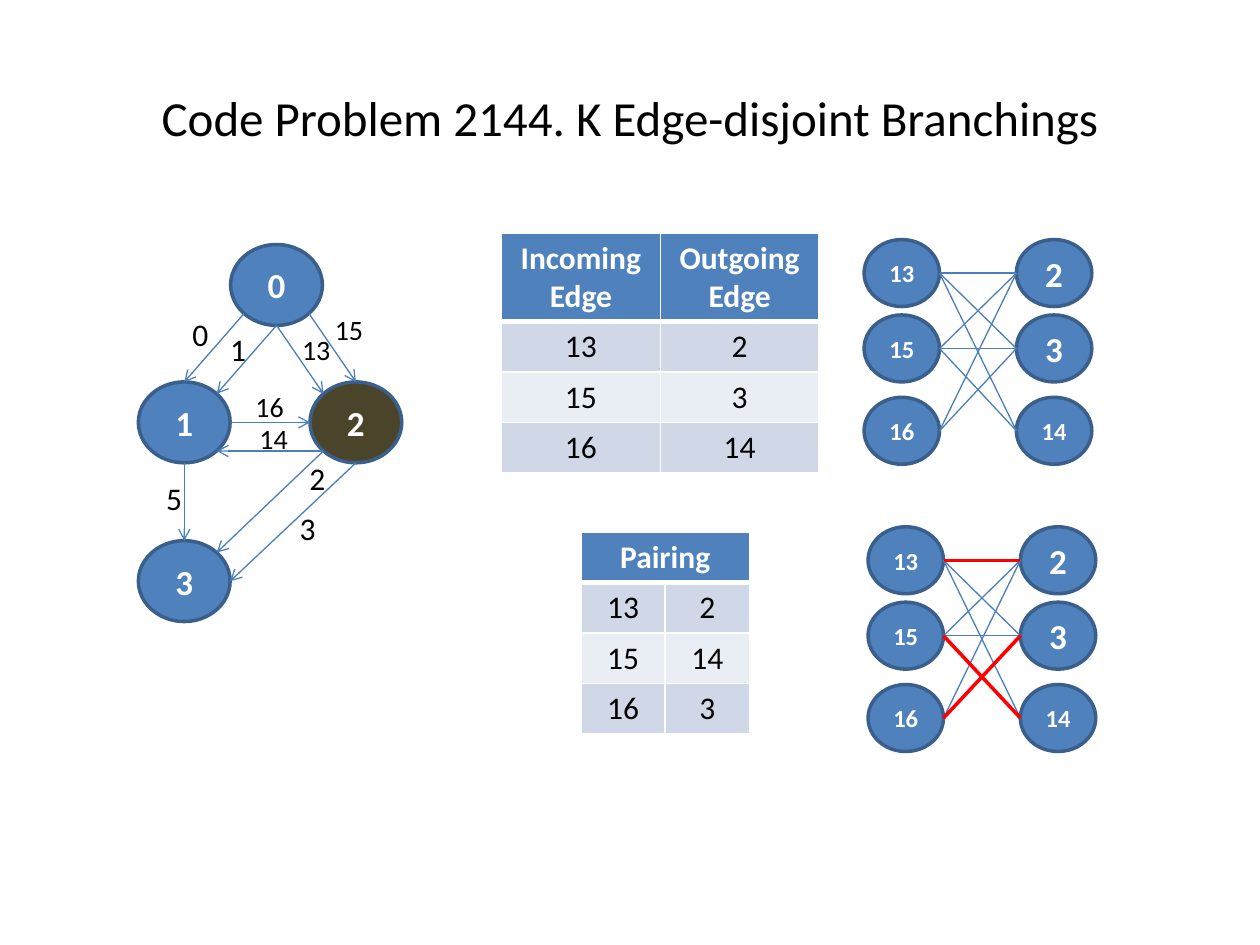
import dataclasses
import typing

import lxml.etree
import pptx
import pptx.dml.color
import pptx.enum.shapes
import pptx.enum.text
import pptx.oxml
import pptx.oxml.ns
import pptx.util

Cm, Pt = pptx.util.Cm, pptx.util.Pt
RGBColor = pptx.dml.color.RGBColor
MIDDLE = pptx.enum.text.MSO_ANCHOR.MIDDLE
CENTER = pptx.enum.text.PP_ALIGN.CENTER

BLACK = RGBColor(0x00, 0x00, 0x00)
WHITE = RGBColor(0xFF, 0xFF, 0xFF)
BLUE = RGBColor(0x4F, 0x81, 0xBD)
OUTLINE = RGBColor(0x3A, 0x5F, 0x8C)
EDGE = RGBColor(0x4B, 0x7E, 0xBC)
RED = RGBColor(0xFF, 0x00, 0x00)
DARK = RGBColor(0x4A, 0x45, 0x2A)
BANDS = (RGBColor(0xD0, 0xD8, 0xE8), RGBColor(0xE9, 0xED, 0xF4))

DIAGONAL = 0.5 ** 0.5
SITES = {
    "top": (0, -1), "bottom": (0, 1), "left": (-1, 0), "right": (1, 0),
    "top left": (-DIAGONAL, -DIAGONAL), "top right": (DIAGONAL, -DIAGONAL),
    "bottom left": (-DIAGONAL, DIAGONAL), "bottom right": (DIAGONAL, DIAGONAL),
}


@dataclasses.dataclass(frozen=True)
class Node:
    """A numbered ellipse; lengths in centimetres."""
    text: str
    left: float
    top: float
    width: float = 1.85
    height: float = 1.63
    size: int = 20
    color: RGBColor = BLUE

    def site(self, name: str) -> tuple[float, float]:
        """Return a point on the rim."""
        dx, dy = SITES[name]
        return (self.left + self.width * (1 + dx) / 2,
                self.top + self.height * (1 + dy) / 2)


class Label(typing.NamedTuple):
    """A number beside an edge."""
    text: str
    left: float
    top: float


class Grid(typing.NamedTuple):
    """A table with one header row."""
    left: float
    top: float
    column: float
    header_height: float
    rows: tuple[tuple[str, ...], ...]


GRAPH = (Node("0", 4.65, 4.93), Node("1", 2.79, 7.7),
         Node("2", 6.25, 7.7, color=DARK), Node("3", 2.79, 10.9))
GRAPH_EDGES = (
    (0, "bottom left", 1, "top"), (0, "bottom right", 2, "top"),
    (0, "bottom", 1, "top right"), (1, "right", 2, "left"),
    (1, "bottom", 3, "top"), (2, "bottom left", 3, "top right"),
    (2, "bottom", 3, "right"), (0, "bottom", 2, "top left"),
    (2, "bottom left", 1, "bottom right"),
)
LABELS = (
    Label("0", 3.63, 6.22), Label("1", 4.39, 6.53), Label("2", 5.99, 9.12),
    Label("3", 5.79, 10.13), Label("5", 3.1, 9.53), Label("16", 4.9, 7.72),
    Label("15", 6.5, 6.17), Label("14", 4.98, 8.38), Label("13", 5.84, 6.58),
)
INCOMING, OUTGOING = ("13", "15", "16"), ("2", "3", "14")
PAIRING = (("13", "2"), ("15", "14"), ("16", "3"))
FORBIDDEN = ("16", "14")
ROW_HEIGHT = 1.02
GRIDS = (
    Grid(10.11, 4.7, 3.2, 1.75,
         (("Incoming Edge", "Outgoing Edge"), *zip(INCOMING, OUTGOING))),
    Grid(11.71, 10.72, 1.7, ROW_HEIGHT, (("Pairing",), *PAIRING)),
)


def write(frame, text: str, size: int, color: RGBColor = BLACK,
          bold: bool = False, align=None) -> None:
    """Put one formatted run into a text frame."""
    paragraph = frame.paragraphs[0]
    paragraph.alignment = align
    run = paragraph.add_run()
    run.text = text
    style = {"name": "Calibri", "size": Pt(size), "bold": bold}
    for attribute, value in style.items():
        setattr(run.font, attribute, value)
    run.font.color.rgb = color


def add_text(slide, text: str, box: tuple[float, ...], size: int, **style) -> None:
    """Add a text box at left, top, width, height."""
    frame = slide.shapes.add_textbox(*map(Cm, box)).text_frame
    frame.word_wrap = True
    if "align" in style:
        frame.vertical_anchor = MIDDLE
    write(frame, text, size, **style)


def add_node(slide, node: Node) -> None:
    """Draw an ellipse with its number."""
    oval = slide.shapes.add_shape(
        pptx.enum.shapes.MSO_SHAPE.OVAL, Cm(node.left), Cm(node.top),
        Cm(node.width), Cm(node.height))
    oval.shadow.inherit = False
    oval.fill.solid()
    oval.fill.fore_color.rgb = node.color
    oval.line.color.rgb = OUTLINE
    oval.line.width = Pt(2)
    frame = oval.text_frame
    for attribute, value in {"word_wrap": False, "vertical_anchor": MIDDLE}.items():
        setattr(frame, attribute, value)
    write(frame, node.text, node.size, WHITE, True, CENTER)


def add_edge(slide, start: tuple[float, float], end: tuple[float, float],
             color: RGBColor = EDGE, width: float = 0.75, arrow: bool = False) -> None:
    """Draw a straight edge, with an arrowhead if it is directed."""
    edge = slide.shapes.add_connector(
        pptx.enum.shapes.MSO_CONNECTOR.STRAIGHT, *map(Cm, start + end))
    edge.line.color.rgb = color
    edge.line.width = Pt(width)
    qn = pptx.oxml.ns.qn
    properties = edge.element.spPr
    if arrow:
        lxml.etree.SubElement(properties.find(qn("a:ln")), qn("a:tailEnd"), type="arrow")
    lxml.etree.SubElement(properties, qn("a:effectLst"))


def add_borders(cell, top: int, bottom: int) -> None:
    """Give a cell white borders; widths in points."""
    namespace = pptx.oxml.ns.nsdecls("a")
    for side, width in {"L": 1, "R": 1, "T": top, "B": bottom}.items():
        cell._tc.get_or_add_tcPr().append(pptx.oxml.parse_xml(
            f'<a:ln{side} {namespace} w="{Pt(width)}"><a:solidFill>'
            f'<a:srgbClr val="{WHITE}"/></a:solidFill></a:ln{side}>'))


def add_grid(slide, grid: Grid) -> None:
    """Draw a banded two-column table."""
    height = grid.header_height + ROW_HEIGHT * (len(grid.rows) - 1)
    table = slide.shapes.add_table(
        len(grid.rows), 2, Cm(grid.left), Cm(grid.top),
        Cm(2 * grid.column), Cm(height)).table
    for column in table.columns:
        column.width = Cm(grid.column)
    for r, texts in enumerate(grid.rows):
        header = r == 0
        table.rows[r].height = Cm(grid.header_height if header else ROW_HEIGHT)
        if len(texts) == 1:
            table.cell(r, 0).merge(table.cell(r, 1))
        for c in range(2):
            cell = table.cell(r, c)
            add_borders(cell, 3 if r == 1 else 1, 3 if header else 1)
            cell.fill.solid()
            cell.fill.fore_color.rgb = BLUE if header else BANDS[(r - 1) % 2]
            if c < len(texts):
                write(cell.text_frame, texts[c], 18,
                      WHITE if header else BLACK, header, CENTER)


def add_matching(slide, left: float, top: float, chosen: tuple = ()) -> None:
    """Draw incoming against outgoing edges, with chosen pairs in red."""
    sides = [
        {text: Node(text, x, top + drop, 1.52, 1.35, 14 if len(text) > 1 else 20)
         for text, drop in zip(texts, (0, 1.52, 3.18))}
        for texts, x in ((INCOMING, left), (OUTGOING, left + 3.07))]
    for side in sides:
        for node in side.values():
            add_node(slide, node)
    pairs = [(i, o) for i in INCOMING for o in OUTGOING if (i, o) != FORBIDDEN]
    for pair in sorted(pairs, key=lambda p: p in chosen):
        style = {"color": RED, "width": 2} if pair in chosen else {}
        add_edge(slide, sides[0][pair[0]].site("right"),
                 sides[1][pair[1]].site("left"), **style)


def main() -> None:
    """Build and save the slide."""
    deck = pptx.Presentation()
    deck.slide_width, deck.slide_height = Cm(25.4), Cm(19.05)
    slide = deck.slides.add_slide(deck.slide_layouts[6])
    add_text(slide, "Code Problem 2144. K Edge-disjoint Branchings",
             (1.27, 0.76, 22.86, 3.18), 28, align=CENTER)
    for node in GRAPH:
        add_node(slide, node)
    for source, leave, target, enter in GRAPH_EDGES:
        add_edge(slide, GRAPH[source].site(leave), GRAPH[target].site(enter), arrow=True)
    for label in LABELS:
        width, height, size = (0.89, 1.02, 18) if len(label.text) == 1 else (1.27, 0.94, 16)
        add_text(slide, label.text, (label.left, label.top, width, height), size)
    for grid in GRIDS:
        add_grid(slide, grid)
    add_matching(slide, 17.42, 4.83)
    add_matching(slide, 17.5, 10.62, PAIRING)
    deck.save("out.pptx")


main()
